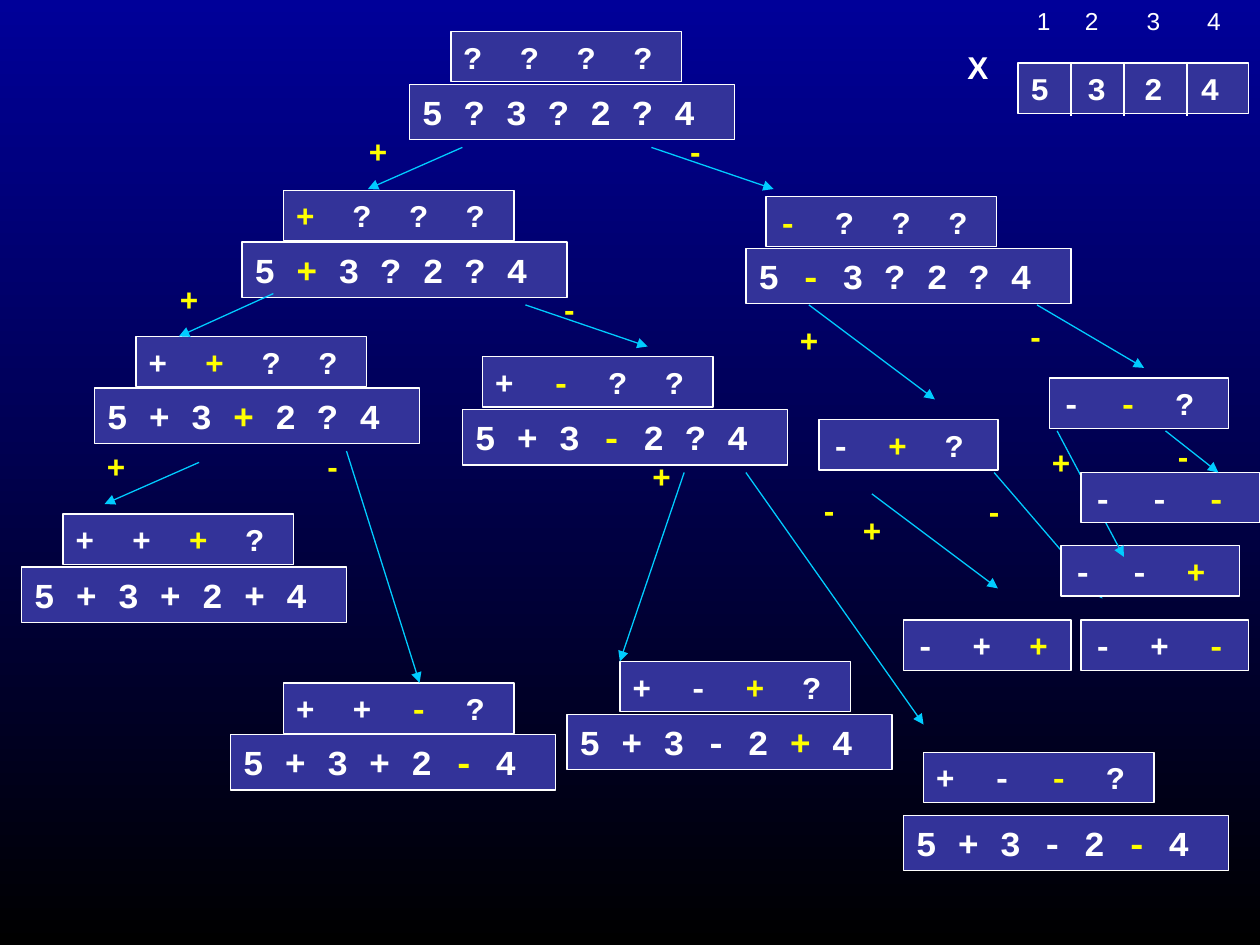
from lxml import etree
from pptx import Presentation
from pptx import util as u
from pptx.dml.color import RGBColor
from pptx.enum import shapes, text
from pptx.oxml.ns import qn

WHITE = RGBColor(0xFF, 0xFF, 0xFF)
YELLOW = RGBColor(0xFF, 0xFF, 0x00)
CYAN = RGBColor(0x00, 0xCC, 0xFF)
INDIGO = RGBColor(0x33, 0x33, 0x99)
NAVY = RGBColor(0x00, 0x00, 0x99)
BLACK = RGBColor(0x00, 0x00, 0x00)
MONO, SANS = "Courier New", "Arial"
FRAME = {"word_wrap": True, "vertical_anchor": text.MSO_ANCHOR.TOP,
         "auto_size": text.MSO_AUTO_SIZE.NONE}
SLOTS = [0.45, 0.9, 1.35]

prs = Presentation()
prs.slide_width, prs.slide_height = u.Inches(10), u.Inches(7.5)
slide = prs.slides.add_slide(prs.slide_layouts[6])
backdrop = slide.background.fill
backdrop.gradient()
backdrop.gradient_angle = 270
for stop, color in zip(backdrop.gradient_stops, (NAVY, BLACK)):
    stop.color.rgb = color


def add_text(parent, place, symbols, size, font, sep="", tabs=(), marked=None,
             boxed=False, color=WHITE, bold=True):
    place = [u.Inches(value) for value in place]
    if boxed:
        holder = parent.add_shape(shapes.MSO_SHAPE.RECTANGLE, *place)
        holder.shadow.inherit = False
        holder.fill.solid()
        holder.fill.fore_color.rgb = INDIGO
        holder.line.color.rgb = WHITE
        holder.line.width = u.Pt(0.75)
    else:
        holder = parent.add_textbox(*place)
    for key, value in FRAME.items():
        setattr(holder.text_frame, key, value)
    paragraph = holder.text_frame.paragraphs[0]
    paragraph.alignment = text.PP_ALIGN.LEFT
    if tabs:
        tab_list = etree.SubElement(paragraph._p.get_or_add_pPr(), qn("a:tabLst"))
        for tab in tabs:
            etree.SubElement(tab_list, qn("a:tab"), pos=str(u.Inches(tab)), algn="l")
    if marked is None:
        pieces = [(sep.join(symbols), color)]
    else:
        before = "".join(symbol + sep for symbol in symbols[:marked])
        after = "".join(sep + symbol for symbol in symbols[marked + 1:])
        pieces = [(before, color), (symbols[marked], YELLOW), (after, color)]
    for words, tint in pieces:
        if words:
            run = paragraph.add_run()
            run.text = words
            for key, value in {"size": u.Pt(size), "name": font, "bold": bold}.items():
                setattr(run.font, key, value)
            run.font.color.rgb = tint
    return holder


def add_line(parent, start, end, color, arrow=False):
    line = parent.add_connector(shapes.MSO_CONNECTOR.STRAIGHT,
                                *[u.Inches(value) for value in start + end])
    line.line.color.rgb = color
    line.line.width = u.Pt(0.75)
    if arrow:
        etree.SubElement(line.line._get_or_add_ln(), qn("a:tailEnd"), type="triangle")
    etree.SubElement(line._element.spPr, qn("a:effectLst"))


add_text(slide.shapes, (8.08, 0.5, 1.83, 0.4), "5324", 18, MONO, "\t", SLOTS, boxed=True)
for x in (8.5, 8.92, 9.42):
    add_line(slide.shapes, (x, 0.5), (x, 0.92), WHITE)
array_labels = slide.shapes.add_group_shape().shapes
add_text(array_labels, (7.58, 0.33, 0.5, 0.4), "X", 18, SANS)
indices = add_text(array_labels, (8.08, 0, 1.83, 0.34), "1234", 14, SANS, "\t",
                   (0.38, 0.87, 1.35), bold=False)
indices.text_frame.margin_left = u.Inches(0.15)

# signs, position of the chosen sign, sign box, expression corner, branch, branch label
tree = [
    ("????", None, (3.58, 0.25, 1.83), (3.25, 0.67), None, None),
    ("+???", 0, (2.25, 1.51, 1.83), (1.92, 1.92), ((3.67, 1.17), (2.92, 1.5)), (2.83, 1, 0.67)),
    ("++??", 1, (1.08, 2.67, 1.83), (0.75, 3.08), ((2.17, 2.33), (1.42, 2.67)), (1.33, 2.17, 0.67)),
    ("+++?", 2, (0.5, 4.08, 1.83), (0.17, 4.5), ((1.58, 3.67), (0.83, 4)), (0.75, 3.5, 0.67)),
    ("++-?", 2, (2.25, 5.42, 1.83), (1.83, 5.83), ((2.75, 3.58), (3.33, 5.42)), (2.5, 3.5, 0.87)),
    ("+-??", 1, (3.83, 2.83, 1.83), (3.67, 3.25), ((4.17, 2.42), (5.14, 2.75)), (4.38, 2.25, 0.87)),
    ("+-+?", 2, (4.92, 5.25, 1.83), (4.5, 5.67), ((5.43, 3.75), (4.92, 5.25)), (5.08, 3.58, 0.53)),
    ("+--?", 2, (7.33, 5.97, 1.83), (7.17, 6.47), ((5.92, 3.75), (7.33, 5.75)), (6.44, 3.85, 0.66)),
    ("-???", 0, (6.08, 1.56, 1.83), (5.92, 1.97), ((5.17, 1.17), (6.14, 1.5)), (5.38, 1, 0.87)),
    ("-+?", 1, (6.5, 3.33, 1.42), None, ((6.42, 2.42), (7.42, 3.17)), (6.25, 2.5, 0.67)),
    ("-++", 2, (7.17, 4.92, 1.33), None, ((6.92, 3.92), (7.92, 4.67)), (6.75, 4.01, 0.67)),
    ("-+-", 2, (8.58, 4.92, 1.33), None, ((7.89, 3.75), (8.75, 4.75)), (7.75, 3.86, 0.57)),
    ("--?", 1, (8.33, 3, 1.42), None, ((8.23, 2.42), (9.08, 2.92)), (8.08, 2.47, 0.57)),
    ("--+", 2, (8.42, 4.33, 1.42), None, ((8.39, 3.42), (8.92, 4.42)), (8.25, 3.47, 0.57)),
    ("---", 2, (8.58, 3.75, 1.42), None, ((9.25, 3.42), (9.67, 3.75)), (9.25, 3.42, 0.57)),
]
for signs, chosen, sign_box, expression_at, branch, label in tree:
    add_text(slide.shapes, (*sign_box, 0.4), signs, 18, MONO, "\t", SLOTS, chosen, boxed=True)
    if expression_at:
        expression = f"5{signs[0]}3{signs[1]}2{signs[2]}4"
        plain = chosen is None or signs == "+++?"
        add_text(slide.shapes, (*expression_at, 2.58, 0.44), expression, 20, MONO, " ",
                 marked=None if plain else 2 * chosen + 1, boxed=True)
    if branch:
        step = slide.shapes.add_group_shape().shapes
        add_line(step, *branch, CYAN, arrow=True)
        add_text(step, (*label, 0.4), signs[chosen], 18, SANS, color=YELLOW)

prs.save("out.pptx")
